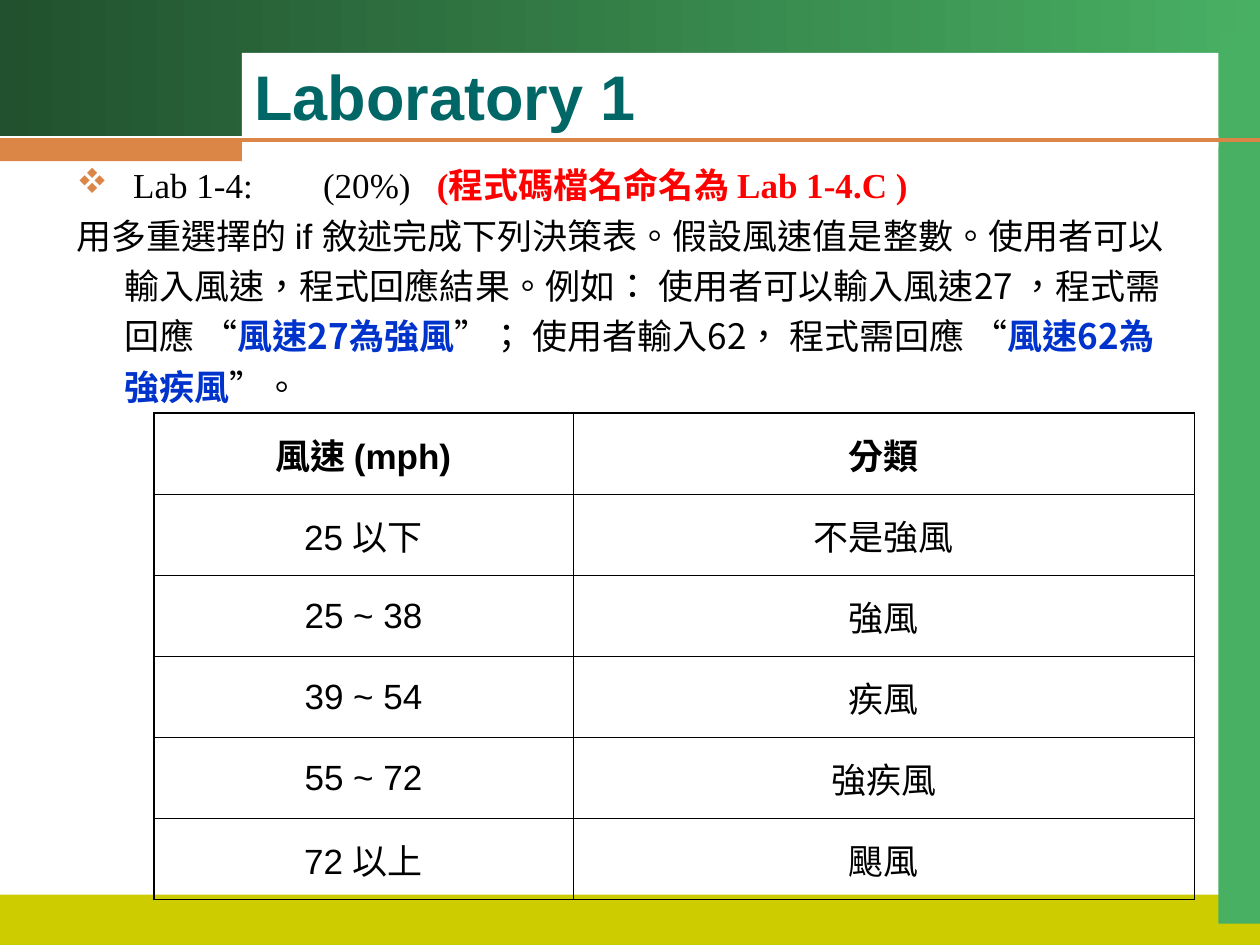
"""Build the Laboratory 1 slide with its wind speed decision table."""
from dataclasses import dataclass

from lxml import etree
from pptx import Presentation
from pptx.dml.color import RGBColor
from pptx.enum.lang import MSO_LANGUAGE_ID
from pptx.enum.shapes import MSO_CONNECTOR, MSO_SHAPE
from pptx.enum.text import MSO_ANCHOR, PP_ALIGN
from pptx.oxml.ns import qn
from pptx.util import Inches, Pt

RECTANGLE = MSO_SHAPE.RECTANGLE
STRAIGHT = MSO_CONNECTOR.STRAIGHT
MIDDLE = MSO_ANCHOR.MIDDLE
CENTER = PP_ALIGN.CENTER
TAIWAN = MSO_LANGUAGE_ID.TAIWAN if hasattr(MSO_LANGUAGE_ID, "TAIWAN") else MSO_LANGUAGE_ID.TRADITIONAL_CHINESE

COLORS = {
    "forest": "21512E", "green": "48B063", "olive": "CCCC00", "white": "FFFFFF",
    "orange": "DB8647", "teal": "006666", "black": "000000", "red": "FF0000",
    "blue": "0033CC",
}
SANS, SERIF, CHINESE = "Arial", "Times New Roman", "Noto Sans CJK TC"
THIN, THICK = 0.45, 1.08
COLUMN_WIDTHS = (3.33, 4.93)
TABLE_HEIGHT = 3.86


@dataclass(frozen=True)
class Band:
    """A filled rectangle of the slide frame."""
    left: float
    top: float
    width: float
    height: float
    color: str
    end_color: str = ""


@dataclass(frozen=True)
class Piece:
    """A stretch of text in one style."""
    text: str
    font: str = CHINESE
    color: str = "black"
    bold: bool = False
    size: float = 20
    tracking: float = 0


BANDS = (
    Band(0, 0, 10, 1.08, "forest", "green"),
    Band(0, 7.1, 10, 0.4, "olive"),
    Band(9.67, 0.25, 0.33, 7.08, "green"),
    Band(1.92, 0.42, 7.75, 0.75, "white"),
    Band(0, 1.11, 1.92, 0.17, "orange"),
)
TITLE = (Piece("Laboratory 1", SANS, "teal", True, 36),)
HEADING = (
    Piece(" Lab 1-4:", SERIF),
    Piece(" ", SERIF, tracking=35),
    Piece("(20%)", SERIF),
    Piece(" ", SERIF, tracking=10),
    Piece("(程式碼檔名命名為 Lab 1-4.C )", SERIF, "red", True),
)
TASK = (
    Piece("用多重選擇的 if 敘述完成下列決策表。假設風速值是整數。使用者可以輸入風速，程式回應結果", SANS),
    Piece("。", SERIF),
    Piece("例如： 使用者可以輸入風速27 ，程式需回應 "),
    Piece("“", SANS),
    Piece("風速27為強風", color="blue", bold=True),
    Piece("”", SANS),
    Piece("； 使用者輸入62， 程式需回應 "),
    Piece("“", SANS),
    Piece("風速62為強疾風", color="blue", bold=True),
    Piece("”", SANS),
    Piece("。"),
)
WIND_ROWS = (
    ("風速 (mph)", "分類"),
    ("25 以下", "不是強風"),
    ("25 ~ 38", "強風"),
    ("39 ~ 54", "疾風"),
    ("55 ~ 72", "強疾風"),
    ("72 以上", "颶風"),
)


def rgb(name: str) -> RGBColor:
    """Return the named colour."""
    return RGBColor.from_string(COLORS[name])


def add_color(parent, name: str) -> None:
    """Append a named colour element."""
    etree.SubElement(parent, qn("a:srgbClr"), val=COLORS[name])


def draw_band(page, band: Band) -> None:
    """Draw one frame rectangle, plain or with a gradient."""
    shape = page.shapes.add_shape(
        RECTANGLE, Inches(band.left), Inches(band.top), Inches(band.width), Inches(band.height))
    shape.shadow.inherit = False
    shape.line.fill.background()
    if band.end_color:
        shape.fill.gradient()
        shape.fill.gradient_angle = 0
        for stop, name in zip(shape.fill.gradient_stops, (band.color, band.end_color)):
            stop.color.rgb = rgb(name)
    else:
        shape.fill.solid()
        shape.fill.fore_color.rgb = rgb(band.color)


def draw_rule(page) -> None:
    """Draw the line below the title."""
    rule = page.shapes.add_connector(STRAIGHT, Inches(0), Inches(1.11), Inches(10), Inches(1.11))
    rule.line.color.rgb = rgb("orange")
    rule.line.width = Pt(2.25)
    etree.SubElement(rule._element.spPr, qn("a:effectLst"))


def write(para, pieces: tuple[Piece, ...]) -> None:
    """Add styled pieces to a paragraph run by run."""
    for piece in pieces:
        span = para.add_run()
        span.text = piece.text
        span.font.name = piece.font
        span.font.size = Pt(piece.size)
        span.font.bold = piece.bold
        span.font.color.rgb = rgb(piece.color)
        span.font.language_id = TAIWAN
        properties = span._r.get_or_add_rPr()
        etree.SubElement(properties, qn("a:ea"), typeface=CHINESE)
        if piece.tracking:
            properties.set("spc", str(int(piece.tracking * 100)))


def add_text_frame(page, left: float, top: float, width: float, height: float):
    """Add a wrapping text box and return its frame."""
    box = page.shapes.add_textbox(Inches(left), Inches(top), Inches(width), Inches(height))
    box.text_frame.word_wrap = True
    return box.text_frame


def draw_body(page) -> None:
    """Write the bulleted heading and the task."""
    frame = add_text_frame(page, 0.51, 1.25, 9, 2)
    for para, pieces in ((frame.paragraphs[0], HEADING), (frame.add_paragraph(), TASK)):
        properties = para._p.get_or_add_pPr()
        properties.set("marL", str(Inches(0.38)))
        properties.set("indent", str(Inches(-0.38)))
        if pieces is HEADING:
            add_color(etree.SubElement(properties, qn("a:buClr")), "orange")
            etree.SubElement(properties, qn("a:buFont"), typeface="Wingdings", charset="2")
            etree.SubElement(properties, qn("a:buChar"), char="v")
        else:
            etree.SubElement(properties, qn("a:buNone"))
            para.line_spacing = 1.2
        write(para, pieces)


def set_borders(cell, widths: dict[str, float]) -> None:
    """Draw the cell's borders with the given widths."""
    properties = cell._tc.get_or_add_tcPr()
    for side, width in widths.items():
        line = etree.SubElement(properties, qn(f"a:ln{side}"), w=str(Pt(width)))
        add_color(etree.SubElement(line, qn("a:solidFill")), "black")


def draw_table(page) -> None:
    """Draw the wind speed table with a thicker outer border."""
    last_row, last_column = len(WIND_ROWS) - 1, len(COLUMN_WIDTHS) - 1
    table = page.shapes.add_table(
        len(WIND_ROWS), len(COLUMN_WIDTHS), Inches(1.22), Inches(3.28),
        Inches(sum(COLUMN_WIDTHS)), Inches(TABLE_HEIGHT)).table
    table.first_row = table.horz_banding = False
    for column, width in zip(table.columns, COLUMN_WIDTHS):
        column.width = Inches(width)
    for row_index, labels in enumerate(WIND_ROWS):
        for column_index, label in enumerate(labels):
            cell = table.cell(row_index, column_index)
            set_borders(cell, {
                "L": THICK if column_index == 0 else THIN,
                "R": THICK if column_index == last_column else THIN,
                "T": THICK if row_index == 0 else THIN,
                "B": THICK if row_index == last_row else THIN,
            })
            cell.fill.background()
            cell.vertical_anchor = MIDDLE
            para = cell.text_frame.paragraphs[0]
            para.alignment = CENTER
            write(para, (Piece(label, SANS, bold=row_index == 0),))


def main() -> None:
    """Build and save the deck."""
    deck = Presentation()
    deck.slide_width, deck.slide_height = Inches(10), Inches(7.5)
    page = deck.slides.add_slide(deck.slide_layouts[6])
    for band in BANDS:
        draw_band(page, band)
    draw_rule(page)
    title = add_text_frame(page, 1.92, 0.42, 7.75, 0.67)
    title.vertical_anchor = MIDDLE
    write(title.paragraphs[0], TITLE)
    draw_body(page)
    draw_table(page)
    deck.save("out.pptx")


if __name__ == "__main__":
    main()
